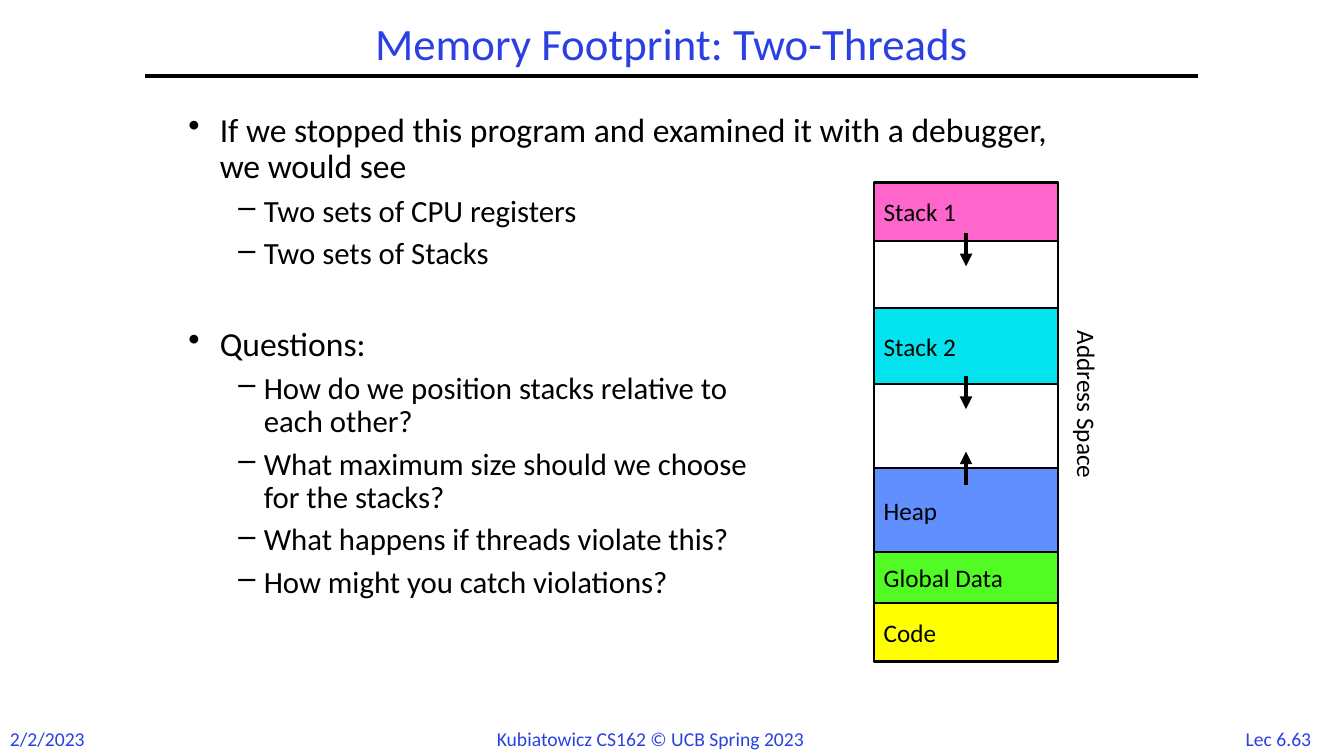
from dataclasses import dataclass
from lxml import etree
from pptx import Presentation, util as u
from pptx.dml.color import RGBColor
from pptx.enum import shapes, text
from pptx.oxml import ns

BLUE = RGBColor(0x2A, 0x40, 0xE2)
BLACK = RGBColor(0, 0, 0)
WHITE = RGBColor(0xFF, 0xFF, 0xFF)
PINK = RGBColor(0xFF, 0x66, 0xCC)
CYAN = RGBColor(0x02, 0xE3, 0xEE)
HEAP = RGBColor(0x61, 0x8F, 0xFD)
GREEN = RGBColor(0x53, 0xFB, 0x25)
YELLOW = RGBColor(0xFF, 0xFF, 0x00)
FONT = "Calibri"
LEFT, TOP, WIDE = 22.02, 4.6, 4.65  # address space, cm
ARROW = 0.84


@dataclass
class Label:
    words: str
    x: float
    y: float
    w: float
    h: float
    size: int = 14
    color: RGBColor = BLUE
    align: text.PP_ALIGN = text.PP_ALIGN.LEFT
    turn: int = 0


@dataclass
class Point:
    lines: list[str]
    level: int = 1
    before: float = 6.6


@dataclass
class Part:
    name: str
    high: float
    color: RGBColor = WHITE
    down: float | None = None  # arrow start relative to the bottom edge
    up: float | None = None  # arrow start relative to the top edge


LABELS = [
    Label("Lec 6.63", 30.99, 18.19, 2.46, 0.85, align=text.PP_ALIGN.CENTER),
    Label("2/2/2023", 0, 18.19, 2.5, 0.85),
    Label("Kubiatowicz CS162 © UCB Spring 2023", 12.27, 18.19, 9.35, 0.85),
    Label("Memory Footprint: Two-Threads", 3.66, 0.42, 26.53, 1.48, 32,
          align=text.PP_ALIGN.CENTER),
    Label("Address Space", 24.97, 10, 4.85, 1.02, 18, BLACK, turn=90),
]
POINTS = [
    Point(["If we stopped this program and examined it with a debugger, we would see"], 0, 0),
    Point(["Two sets of CPU registers"]),
    Point(["Two sets of Stacks"]),
    Point(["Questions:"], 0, 40),
    Point(["How do we position stacks relative to", "each other?"]),
    Point(["What maximum size should we choose", "for the stacks?"]),
    Point(["What happens if threads violate this?"]),
    Point(["How might you catch violations?"]),
]
PARTS = [
    Part("Stack 1", 1.48, PINK, down=-0.21),
    Part("", 1.69),
    Part("Stack 2", 1.91, CYAN, down=-0.21),
    Part("", 2.12),
    Part("Heap", 2.12, HEAP, up=0.42),
    Part("Global Data", 1.27, GREEN),
    Part("Code", 1.48, YELLOW),
]


def write(para, words: str, size: int, color: RGBColor) -> None:
    run = para.add_run()
    run.text = words
    run.font.name = FONT
    run.font.size = u.Pt(size)
    run.font.color.rgb = color


def draw_label(slide, label: Label) -> None:
    box = slide.shapes.add_textbox(*map(u.Cm, (label.x, label.y, label.w, label.h)))
    box.rotation = label.turn
    frame = box.text_frame
    frame.word_wrap = True
    frame.vertical_anchor = text.MSO_ANCHOR.MIDDLE
    para = frame.paragraphs[0]
    para.alignment = label.align
    if label.size > 20:
        para.line_spacing = 0.9
    write(para, label.words, label.size, label.color)


def draw_line(slide, x1: float, y1: float, x2: float, y2: float, head: bool = False) -> None:
    line = slide.shapes.add_connector(
        shapes.MSO_CONNECTOR.STRAIGHT, *map(u.Cm, (x1, y1, x2, y2)))
    line.line.color.rgb = BLACK
    line.line.width = u.Pt(3)
    if head:
        etree.SubElement(line.line._get_or_add_ln(), ns.qn("a:tailEnd"), type="triangle")
    etree.SubElement(line._element.spPr, ns.qn("a:effectLst"))


def draw_points(slide, points: list[Point]) -> None:
    box = slide.shapes.add_textbox(u.Cm(4.5), u.Cm(2.74), u.Cm(22.66), u.Cm(14.17))
    frame = box.text_frame
    frame.word_wrap = True
    for i, point in enumerate(points):
        para = frame.paragraphs[0] if i == 0 else frame.add_paragraph()
        para.level = point.level
        mark, left, hang, size = [("•", 0.79, 0.79, 24), ("–", 1.9, 0.64, 22)][point.level]
        props = para._p.get_or_add_pPr()
        props.set("marL", str(u.Cm(left)))
        props.set("indent", str(-u.Cm(hang)))
        etree.SubElement(props, ns.qn("a:buChar"), char=mark)
        para.line_spacing = 0.9
        para.space_before = u.Pt(point.before)
        for j, words in enumerate(point.lines):
            if j:
                para.add_line_break()
            write(para, words, size, BLACK)


def draw_part(slide, part: Part, top: float) -> None:
    rect = slide.shapes.add_shape(
        shapes.MSO_SHAPE.RECTANGLE, *map(u.Cm, (LEFT, top, WIDE, part.high)))
    rect.shadow.inherit = False
    rect.fill.solid()
    rect.fill.fore_color.rgb = part.color
    rect.line.color.rgb = BLACK
    rect.line.width = u.Pt(1.5)
    if part.name:
        frame = rect.text_frame
        frame.vertical_anchor = text.MSO_ANCHOR.MIDDLE
        para = frame.paragraphs[0]
        para.alignment = text.PP_ALIGN.LEFT
        write(para, part.name, 18, BLACK)


def draw_space(slide, parts: list[Part]) -> None:
    arrows = []
    top = TOP
    for part in parts:
        draw_part(slide, part, top)
        end = top + part.high
        if part.down is not None:
            arrows.append((end + part.down, end + part.down + ARROW))
        if part.up is not None:
            arrows.append((top + part.up, top + part.up - ARROW))
        top = end
    mid = LEFT + WIDE / 2
    for start, stop in arrows:
        draw_line(slide, mid, start, mid, stop, head=True)


def main() -> None:
    deck = Presentation()
    deck.slide_width, deck.slide_height = u.Cm(33.87), u.Cm(19.05)
    slide = deck.slides.add_slide(deck.slide_layouts[6])
    # Title, its rule, footer and side label
    for label in LABELS:
        draw_label(slide, label)
    draw_line(slide, 3.66, 1.91, 30.2, 1.91)
    # Bullets
    draw_points(slide, POINTS)
    # Memory diagram
    draw_space(slide, PARTS)
    deck.save("out.pptx")


if __name__ == "__main__":
    main()
